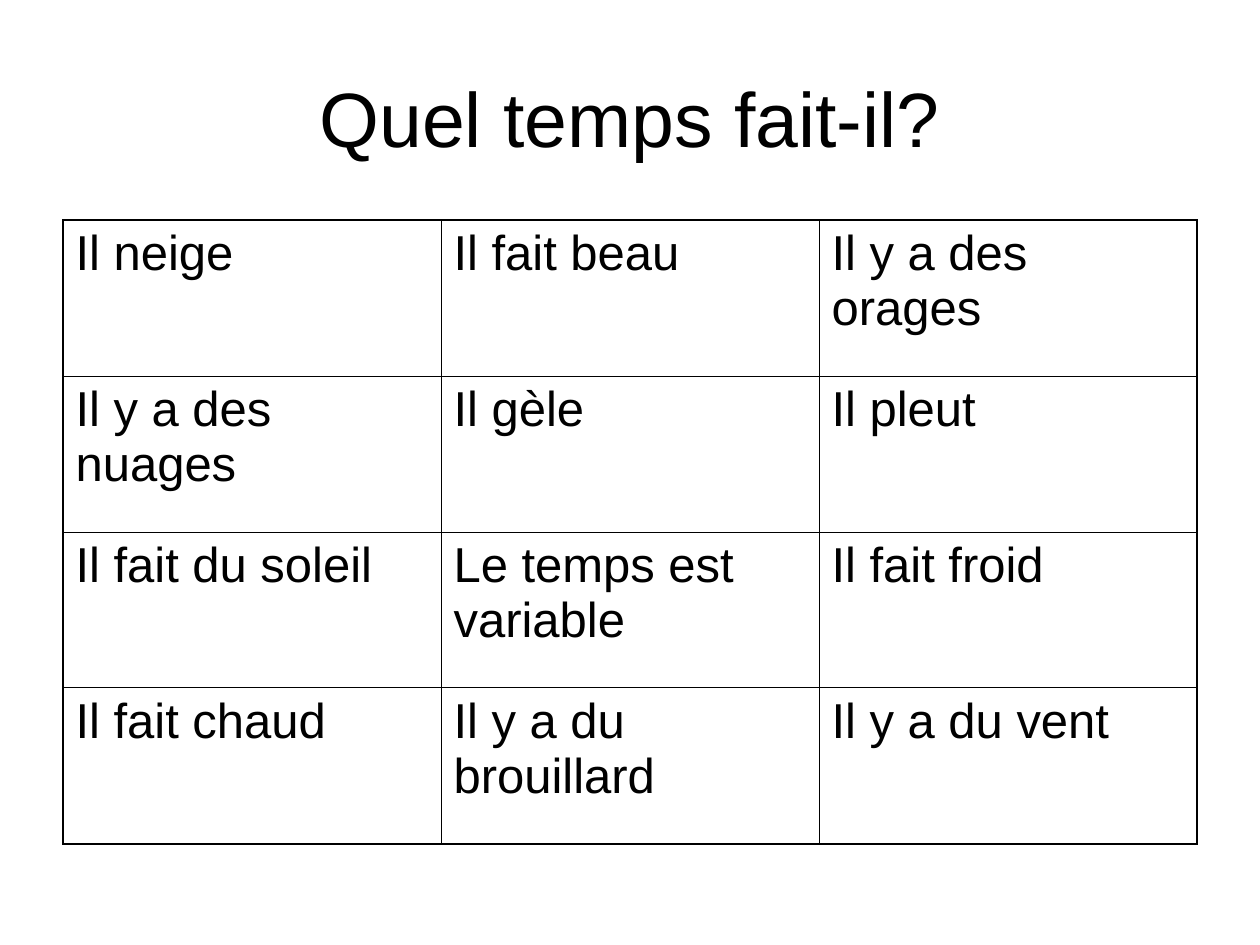
"""Build a one-slide French weather vocabulary grid."""
from dataclasses import dataclass

from lxml import etree
from pptx import Presentation
from pptx import util as u
from pptx.dml.color import RGBColor
from pptx.enum import text
from pptx.oxml import ns

BLACK = RGBColor(0, 0, 0)
WHITE = RGBColor(255, 255, 255)
FONT = "Arial"
OUTER, INNER = u.Pt(1.08), u.Pt(0.45)
PHRASES = (
    ("Il neige", "Il fait beau", "Il y a des orages"),
    ("Il y a des nuages", "Il gèle", "Il pleut"),
    ("Il fait du soleil", "Le temps est variable", "Il fait froid"),
    ("Il fait chaud", "Il y a du brouillard", "Il y a du vent"),
)


@dataclass(frozen=True)
class Box:
    """Hold a position and size in centimetres."""
    left: float
    top: float
    width: float
    height: float

    def lengths(self) -> tuple:
        """Return the four lengths for python-pptx."""
        return tuple(u.Cm(v) for v in (self.left, self.top, self.width, self.height))


HEADING = Box(1.27, 0.76, 22.86, 3.18)
GRID = Box(1.27, 4.44, 22.86, 12.57)


def add_text(paragraph, wording: str, size: int) -> None:
    """Add one formatted run to a paragraph."""
    run = paragraph.add_run()
    run.text = wording
    run.font.name = FONT
    run.font.size = u.Pt(size)
    run.font.color.rgb = BLACK


def add_border(cell, side: str, width: int) -> None:
    """Draw one solid edge of a cell."""
    properties = cell._tc.get_or_add_tcPr()
    edge = etree.SubElement(properties, ns.qn(f"a:ln{side}"), w=str(int(width)))
    fill = etree.SubElement(edge, ns.qn("a:solidFill"))
    etree.SubElement(fill, ns.qn("a:srgbClr"), val=str(BLACK))


def add_heading(slide, wording: str) -> None:
    """Place and fill the title."""
    heading = slide.shapes.title
    heading.left, heading.top, heading.width, heading.height = HEADING.lengths()
    heading.text_frame.vertical_anchor = text.MSO_ANCHOR.MIDDLE
    paragraph = heading.text_frame.paragraphs[0]
    paragraph.alignment = text.PP_ALIGN.CENTER
    add_text(paragraph, wording, 44)


def add_grid(slide, phrases: tuple) -> None:
    """Draw the phrases in a grid with a heavier outer frame."""
    rows, columns = len(phrases), len(phrases[0])
    grid = slide.shapes.add_table(rows, columns, *GRID.lengths()).table
    grid.first_row = grid.horz_banding = False
    for r, row in enumerate(phrases):
        for c, phrase in enumerate(row):
            cell = grid.cell(r, c)
            on_frame = {"L": c == 0, "R": c == columns - 1,
                        "T": r == 0, "B": r == rows - 1}
            for side, outer in on_frame.items():
                add_border(cell, side, OUTER if outer else INNER)
            cell.fill.solid()
            cell.fill.fore_color.rgb = WHITE
            paragraph = cell.text_frame.paragraphs[0]
            paragraph.space_before = u.Pt(7)
            add_text(paragraph, phrase, 28)


def main() -> None:
    """Build and save the presentation."""
    deck = Presentation()
    deck.slide_width, deck.slide_height = u.Cm(25.4), u.Cm(19.05)
    slide = deck.slides.add_slide(deck.slide_layouts[5])
    add_heading(slide, "Quel temps fait-il?")
    add_grid(slide, PHRASES)
    deck.save("out.pptx")


if __name__ == "__main__":
    main()
